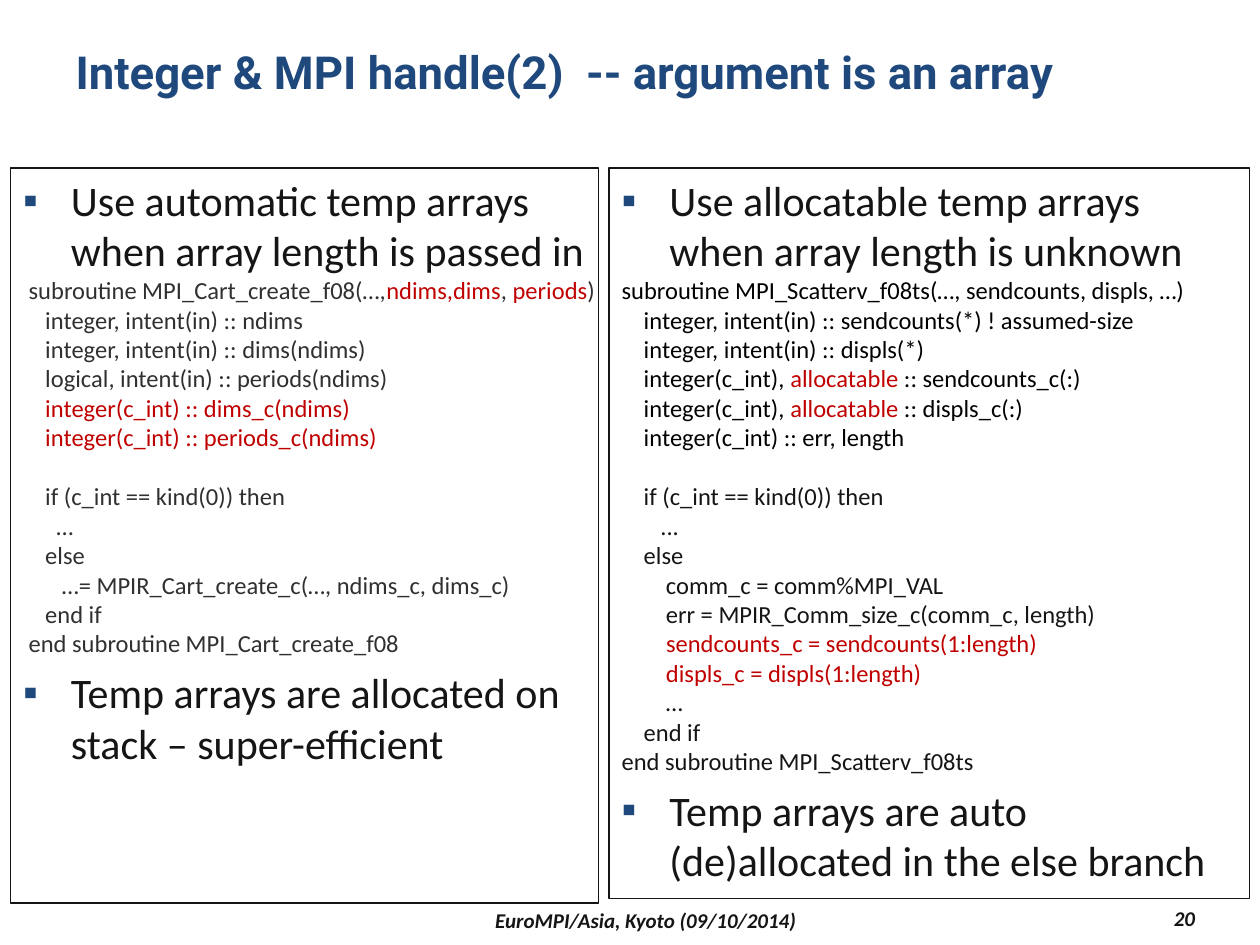
from dataclasses import dataclass

from lxml import etree
from pptx import Presentation
from pptx import util as u
from pptx.dml.color import RGBColor
from pptx.enum import text
from pptx.oxml import ns


@dataclass(frozen=True)
class Theme:
    heading_font: str = "Roboto"
    body_font: str = "Calibri"
    navy: str = "1F497D"
    ink: str = "151515"
    grey: str = "303030"
    black: str = "000000"
    red: str = "C00000"
    title_size: int = 26
    bullet_size: int = 24
    code_size: int = 14
    footer_size: int = 12
    bullet_gap: int = 5
    code_gap: int = 17
    border: float = 0.75


class Deck:
    """Holds the theme and the current slide; boxes are in grid cells."""
    COLUMNS, ROWS = 120, 90

    def __init__(self, theme):
        self.theme = theme
        self.prs = Presentation()
        self.prs.slide_width, self.prs.slide_height = u.Inches(10), u.Inches(7.5)
        self.slide = self.prs.slides.add_slide(self.prs.slide_layouts.get_by_name("Two Content"))

    def box(self, left, top, width, height):
        column = self.prs.slide_width / self.COLUMNS
        row = self.prs.slide_height / self.ROWS
        return (u.Emu(round(left * column)), u.Emu(round(top * row)),
                u.Emu(round(width * column)), u.Emu(round(height * row)))

    def place(self, holder, cells):
        holder.left, holder.top, holder.width, holder.height = self.box(*cells)
        frame = holder.text_frame
        frame.word_wrap = True
        frame.auto_size = text.MSO_AUTO_SIZE.NONE
        frame.vertical_anchor = text.MSO_ANCHOR.TOP
        return frame

    def style(self, font, size, color, name=None):
        font.name = name or self.theme.body_font
        font.size = u.Pt(size)
        font.color.rgb = RGBColor.from_string(color)

    def title(self, words, cells):
        heading = self.place(self.slide.shapes.title, cells).paragraphs[0]
        heading.text = words
        heading.alignment = text.PP_ALIGN.LEFT
        self.style(heading.font, self.theme.title_size, self.theme.navy, self.theme.heading_font)
        heading.font.bold = True

    def footer(self, words, cells, alignment):
        frame = self.slide.shapes.add_textbox(*self.box(*cells)).text_frame
        frame.word_wrap = True
        frame.vertical_anchor = text.MSO_ANCHOR.MIDDLE
        line = frame.paragraphs[0]
        line.text = words
        line.alignment = alignment
        self.style(line.font, self.theme.footer_size, self.theme.ink)
        line.font.bold = line.font.italic = True

    def indent(self, paragraph, hang, bullet=None):
        properties = paragraph._p.get_or_add_pPr()
        properties.set("marL", str(u.Inches(hang)))
        properties.set("indent", str(-u.Inches(hang)))
        if bullet is None:
            etree.SubElement(properties, ns.qn("a:buNone"))
            return
        tint = etree.SubElement(properties, ns.qn("a:buClr"))
        etree.SubElement(tint, ns.qn("a:srgbClr"), val=self.theme.navy)
        etree.SubElement(properties, ns.qn("a:buChar"), char=bullet)

    def bullet(self, paragraph, words, before):
        paragraph.text = words
        self.indent(paragraph, 0.38, "▪")
        paragraph.space_before = u.Pt(before)
        self.style(paragraph.font, self.theme.bullet_size, self.theme.ink)

    def code(self, frame, lines, color, before=0):
        """Add code lines; text between bars is red."""
        for number, line in enumerate(lines):
            paragraph = frame.add_paragraph()
            self.indent(paragraph, 0)
            paragraph.space_before = u.Pt(0 if number else before)
            self.style(paragraph.font, self.theme.code_size, color)
            for part, words in enumerate(line.split("|")):
                if words:
                    run = paragraph.add_run()
                    run.text = words
                    if part % 2:
                        run.font.color.rgb = RGBColor.from_string(self.theme.red)

    def panel(self, index, cells, opening, declarations, body, closing, colors, right_inset):
        holder = self.slide.placeholders[index]
        holder.line.color.rgb = RGBColor.from_string(self.theme.ink)
        holder.line.width = u.Pt(self.theme.border)
        frame = self.place(holder, cells)
        frame.margin_right = u.Inches(right_inset)
        self.bullet(frame.paragraphs[0], opening, 0)
        self.code(frame, declarations, colors[0])
        self.code(frame, body, colors[1], self.theme.code_gap)
        self.bullet(frame.add_paragraph(), closing, self.theme.bullet_gap)


CART_DECLARATIONS = [
    " subroutine MPI_Cart_create_f08(…,|ndims,dims|, |periods|)",
    "    integer, intent(in) :: ndims",
    "    integer, intent(in) :: dims(ndims)",
    "    logical, intent(in) :: periods(ndims)",
    "|    integer(c_int) :: dims_c(ndims)|",
    "|    integer(c_int) :: periods_c(ndims)|",
]
CART_BODY = [
    "    if (c_int == kind(0)) then",
    "      …",
    "    else",
    "       …= MPIR_Cart_create_c(…, ndims_c, dims_c)",
    "    end if",
    " end subroutine MPI_Cart_create_f08",
]
SCATTERV_DECLARATIONS = [
    "subroutine MPI_Scatterv_f08ts(…, sendcounts, displs, …)",
    "    integer, intent(in) :: sendcounts(*) ! assumed-size",
    "    integer, intent(in) :: displs(*)",
    "    integer(c_int), |allocatable| :: sendcounts_c(:)",
    "    integer(c_int), |allocatable| :: displs_c(:)",
    "    integer(c_int) :: err, length",
]
SCATTERV_BODY = [
    "    if (c_int == kind(0)) then",
    "       ...",
    "    else",
    "        comm_c = comm%MPI_VAL",
    "        err = MPIR_Comm_size_c(comm_c, length)",
    "        |sendcounts_c = sendcounts(1:length)|",
    "|        displs_c = displs(1:length)|",
    "        …",
    "    end if",
    "end subroutine MPI_Scatterv_f08ts",
]


def main():
    theme = Theme()
    deck = Deck(theme)

    # Heading
    deck.title("Integer & MPI handle(2)  -- argument is an array", (6, 3.6, 108, 10.4))

    # Automatic arrays on the left, allocatable arrays on the right
    deck.panel(1, (1, 16, 56, 70),
               "Use automatic temp arrays when array length is passed in",
               CART_DECLARATIONS, CART_BODY,
               "Temp arrays are allocated on stack – super-efficient",
               (theme.grey, theme.grey), 0)
    deck.panel(2, (58, 16, 61, 69.6),
               "Use allocatable temp arrays when array length is unknown",
               SCATTERV_DECLARATIONS, SCATTERV_BODY,
               "Temp arrays are auto (de)allocated in the else branch",
               (theme.black, theme.ink), 0.1)

    # Footer
    deck.footer("EuroMPI/Asia, Kyoto (09/10/2014)", (26, 86, 71, 3.2), text.PP_ALIGN.CENTER)
    deck.footer("20", (102, 85.8, 13, 3.2), text.PP_ALIGN.RIGHT)

    deck.prs.save("out.pptx")


if __name__ == "__main__":
    main()
